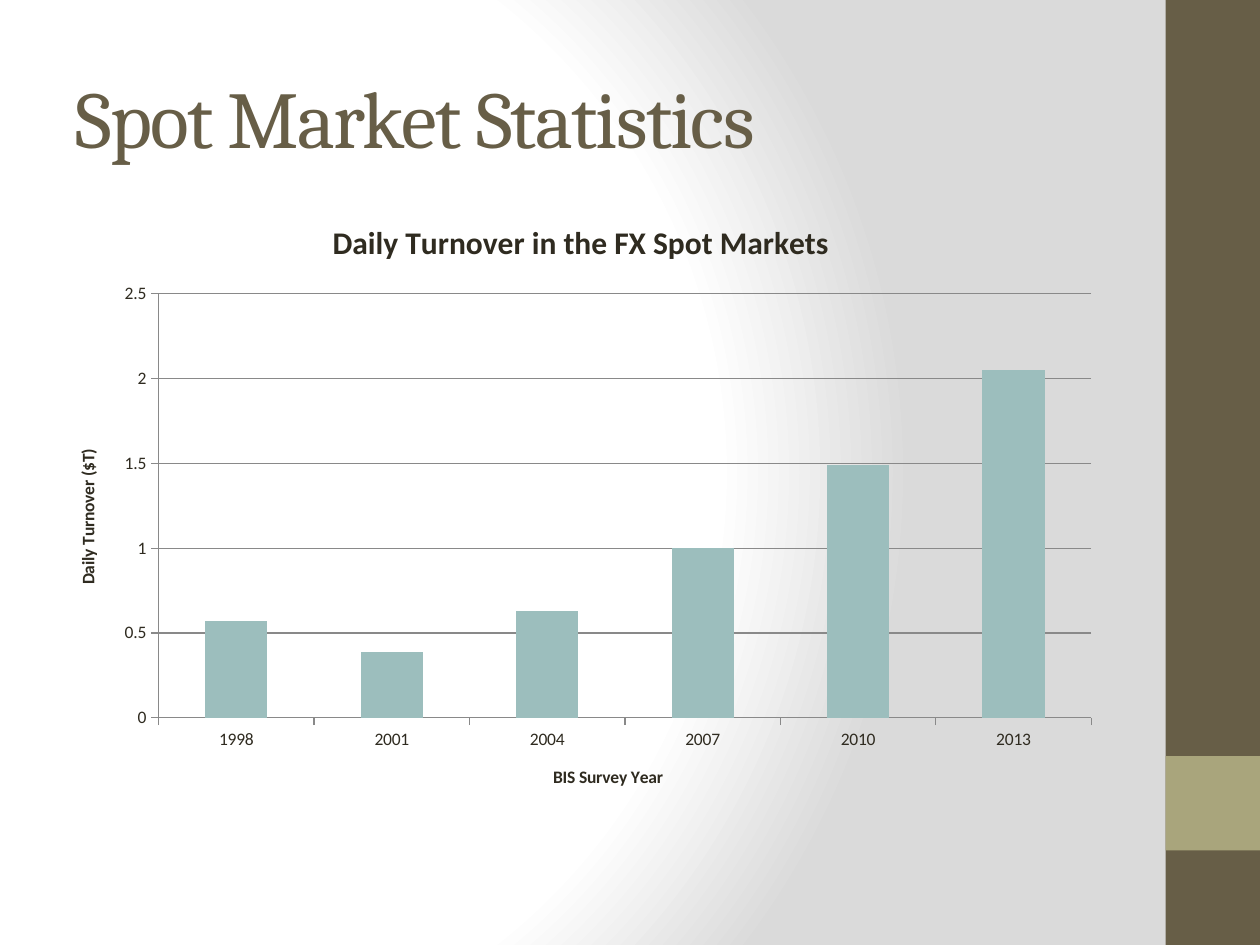
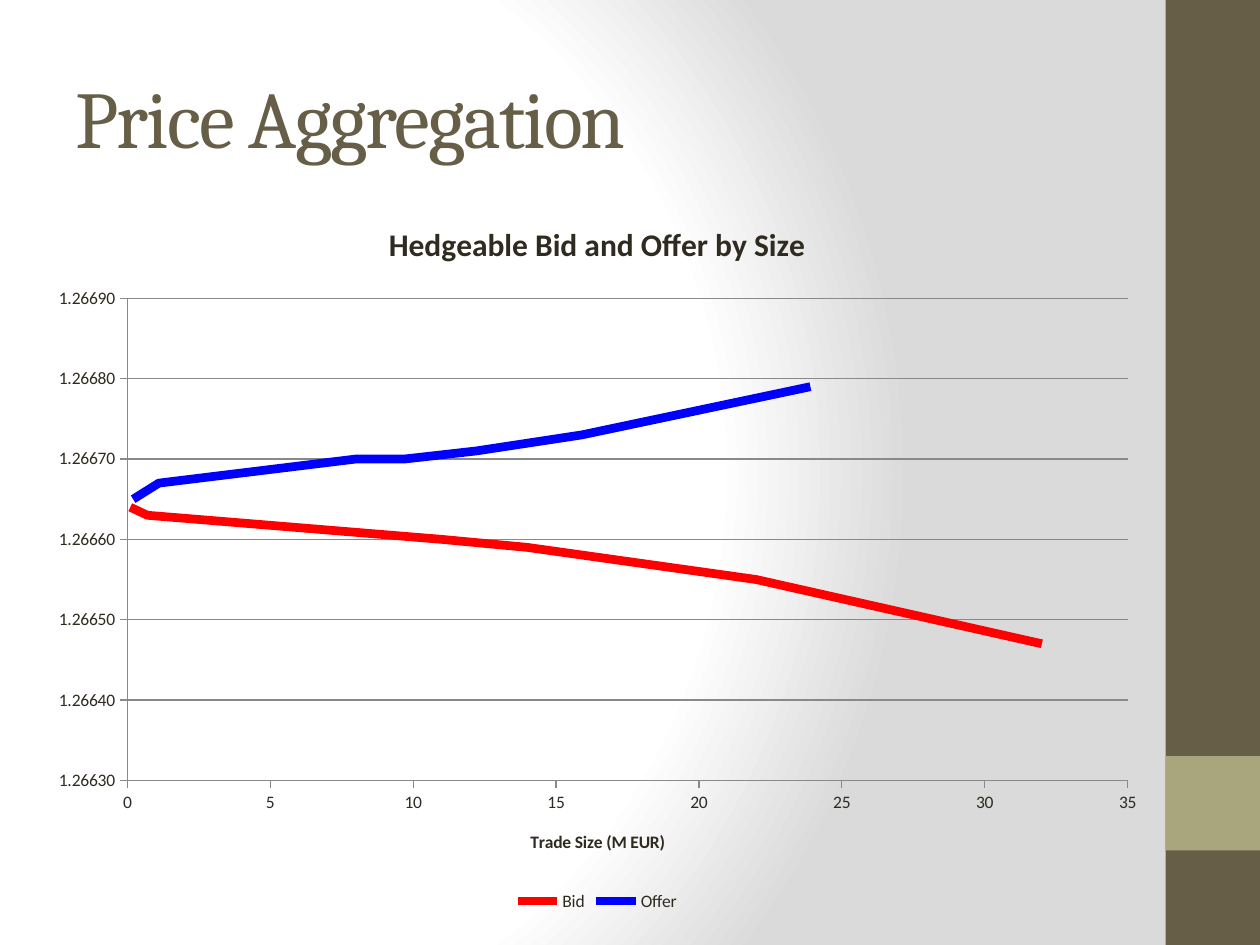
from dataclasses import dataclass

from lxml import etree
from pptx import Presentation
from pptx.chart import data as chart_data
from pptx.dml.color import RGBColor
from pptx.enum import chart as ce, shapes, text
from pptx.oxml import parse_xml
from pptx.oxml.ns import nsdecls, qn
from pptx.util import Inches, Pt

BROWN = RGBColor(0x67, 0x5E, 0x47)
OLIVE = RGBColor(0xA9, 0xA5, 0x7C)
INK = RGBColor(0x2F, 0x2B, 0x20)
TEAL = RGBColor(0x9C, 0xBE, 0xBD)
BID_RED = RGBColor(0xFF, 0x00, 0x00)
OFFER_BLUE = RGBColor(0x00, 0x00, 0xFF)
GRID_GREY = RGBColor(0x89, 0x89, 0x89)
HEADING_FONT, BODY_FONT = "Cambria", "Calibri"


@dataclass(frozen=True)
class Box:
    left: float
    top: float
    width: float
    height: float

    def lengths(self):
        return [Inches(v) for v in (self.left, self.top, self.width, self.height)]


@dataclass(frozen=True)
class Band:
    box: Box
    color: RGBColor


@dataclass(frozen=True)
class ChartSpec:
    kind: ce.XL_CHART_TYPE
    box: Box
    plot_area: Box
    title: str
    x_title: str
    y_title: str
    y_range: tuple[float, float, float]
    y_format: str


@dataclass(frozen=True)
class Quote:
    name: str
    color: RGBColor
    points: tuple[tuple[float, float], ...]


BANDS = (
    Band(Box(9.25, 0, 0.75, 7.5), BROWN),
    Band(Box(9.25, 6, 0.75, 0.75), OLIVE),
)
TITLE_BOX = Box(0.5, 0.3, 8.33, 1.25)

TURNOVER = {"1998": 0.57, "2001": 0.39, "2004": 0.63,
            "2007": 1, "2010": 1.49, "2013": 2.05}
TURNOVER_CHART = ChartSpec(
    ce.XL_CHART_TYPE.COLUMN_STACKED, Box(0.39, 1.55, 8.44, 4.92),
    Box(0.103, 0.159, 0.877, 0.684), "Daily Turnover in the FX Spot Markets",
    "BIS Survey Year", "Daily Turnover ($T)", (0, 2.5, 0.5), "General")

QUOTES = (
    Quote("Bid", BID_RED, (
        (0.1, 1.26664), (0.7, 1.26663), (11, 1.2666), (14, 1.26659),
        (20, 1.26656), (22, 1.26655), (32, 1.26647))),
    Quote("Offer", OFFER_BLUE, (
        (23.9, 1.26679), (15.9, 1.26673), (12.2, 1.26671), (9.7, 1.2667),
        (8, 1.2667), (1.1, 1.26667), (0.2, 1.26665))),
)
QUOTE_CHART = ChartSpec(
    ce.XL_CHART_TYPE.XY_SCATTER_LINES_NO_MARKERS, Box(0.28, 1.55, 8.92, 5.72),
    Box(0.082, 0.143, 0.89, 0.669), "Hedgeable Bid and Offer by Size",
    "Trade Size (M EUR)", "", (1.2663, 1.2669, 0.0001), "0.00000")


def set_background(master) -> None:
    master.background.fill.gradient()
    default = master.element.find(".//" + qn("p:bgPr") + "/" + qn("a:gradFill"))
    stops = "".join(
        f'<a:gs pos="{place * 1000}"><a:srgbClr val="{color}"/></a:gs>'
        for place, color in ((0, "FFFFFF"), (75, "FFFFFF"), (100, "DADADA")))
    radial = parse_xml(
        f'<a:gradFill rotWithShape="1" {nsdecls("a")}><a:gsLst>{stops}</a:gsLst>'
        '<a:path path="circle"><a:fillToRect l="20000" t="50000" r="100000" '
        'b="50000"/></a:path></a:gradFill>')
    default.getparent().replace(default, radial)


def add_slide(deck, heading: str):
    slide = deck.slides.add_slide(deck.slide_layouts[6])
    for band in BANDS:
        stripe = slide.shapes.add_shape(
            shapes.MSO_SHAPE.RECTANGLE, *band.box.lengths())
        stripe.shadow.inherit = False
        stripe.fill.solid()
        stripe.fill.fore_color.rgb = band.color
        stripe.line.fill.background()
    frame = slide.shapes.add_textbox(*TITLE_BOX.lengths()).text_frame
    frame.word_wrap = True
    frame.vertical_anchor = text.MSO_ANCHOR.MIDDLE
    run = frame.paragraphs[0].add_run()
    run.text = heading
    style_font(run.font, 46, BROWN, HEADING_FONT)
    run.font._element.set("spc", "-100")
    return slide


def style_font(font, size: float, color: RGBColor = INK,
               name: str = BODY_FONT, bold: bool = False) -> None:
    font.size, font.name, font.bold = Pt(size), name, bold
    font.color.rgb = color


def add_caption(owner, caption: str, size: float) -> None:
    owner.has_title = bool(caption)
    if caption:
        run = owner_title(owner).text_frame.paragraphs[0].add_run()
        run.text = caption
        style_font(run.font, size, bold=True)


def owner_title(owner):
    return owner.chart_title if hasattr(owner, "chart_title") else owner.axis_title


def style_axis(axis, caption: str) -> None:
    axis.major_tick_mark = ce.XL_TICK_MARK.OUTSIDE
    axis.minor_tick_mark = ce.XL_TICK_MARK.NONE
    axis.has_major_gridlines = False
    style_line(axis.format.line, GRID_GREY, 0.75)
    add_caption(axis, caption, 10)


def style_line(line, color: RGBColor, width: float) -> None:
    line.color.rgb = color
    line.width = Pt(width)


def place_plot_area(chart, area: Box) -> None:
    plot_area = chart.element.find(".//" + qn("c:plotArea"))
    for old in plot_area.findall(qn("c:layout")):
        plot_area.remove(old)
    layout = parse_xml(f'<c:layout {nsdecls("c")}><c:manualLayout/></c:layout>')
    settings = (("layoutTarget", "inner"), ("xMode", "edge"), ("yMode", "edge"),
                ("x", area.left), ("y", area.top),
                ("w", area.width), ("h", area.height))
    for tag, value in settings:
        etree.SubElement(layout[0], qn(f"c:{tag}")).set("val", str(value))
    plot_area.insert(0, layout)


def add_chart(slide, spec: ChartSpec, values):
    chart = slide.shapes.add_chart(spec.kind, *spec.box.lengths(), values).chart
    style_font(chart.font, 10)
    add_caption(chart, spec.title, 18)
    chart.chart_title.include_in_layout = False
    chart.has_legend = False
    style_axis(chart.category_axis, spec.x_title)
    amounts = chart.value_axis
    style_axis(amounts, spec.y_title)
    amounts.has_major_gridlines = True
    style_line(amounts.major_gridlines.format.line, GRID_GREY, 0.75)
    amounts.minimum_scale, amounts.maximum_scale, amounts.major_unit = spec.y_range
    amounts.tick_labels.number_format = spec.y_format
    amounts.tick_labels.number_format_is_linked = False
    chart.plots[0].vary_by_categories = False
    place_plot_area(chart, spec.plot_area)
    return chart


def build_turnover(deck) -> None:
    slide = add_slide(deck, "Spot Market Statistics")
    values = chart_data.CategoryChartData()
    values.categories = list(TURNOVER)
    values.add_series("Series 1", list(TURNOVER.values()))
    columns = add_chart(slide, TURNOVER_CHART, values).plots[0]
    columns.gap_width, columns.overlap = 150, 100
    fill = columns.series[0].format.fill
    fill.solid()
    fill.fore_color.rgb = TEAL


def build_quotes(deck) -> None:
    slide = add_slide(deck, "Price Aggregation")
    values = chart_data.XyChartData()
    for quote in QUOTES:
        series = values.add_series(quote.name)
        for size, price in quote.points:
            series.add_data_point(size, price)
    chart = add_chart(slide, QUOTE_CHART, values)
    sizes = chart.category_axis
    sizes.minimum_scale, sizes.maximum_scale, sizes.major_unit = 0, 35, 5
    sizes.tick_labels.number_format = "0"
    sizes.tick_labels.number_format_is_linked = False
    for series, quote in zip(chart.plots[0].series, QUOTES):
        style_line(series.format.line, quote.color, 5)
    chart.has_legend = True
    chart.legend.position = ce.XL_LEGEND_POSITION.BOTTOM
    chart.legend.include_in_layout = False
    style_font(chart.legend.font, 10)


def main() -> None:
    deck = Presentation()
    deck.slide_width, deck.slide_height = Inches(10), Inches(7.5)
    set_background(deck.slide_master)
    build_turnover(deck)
    build_quotes(deck)
    deck.save("out.pptx")


main()
